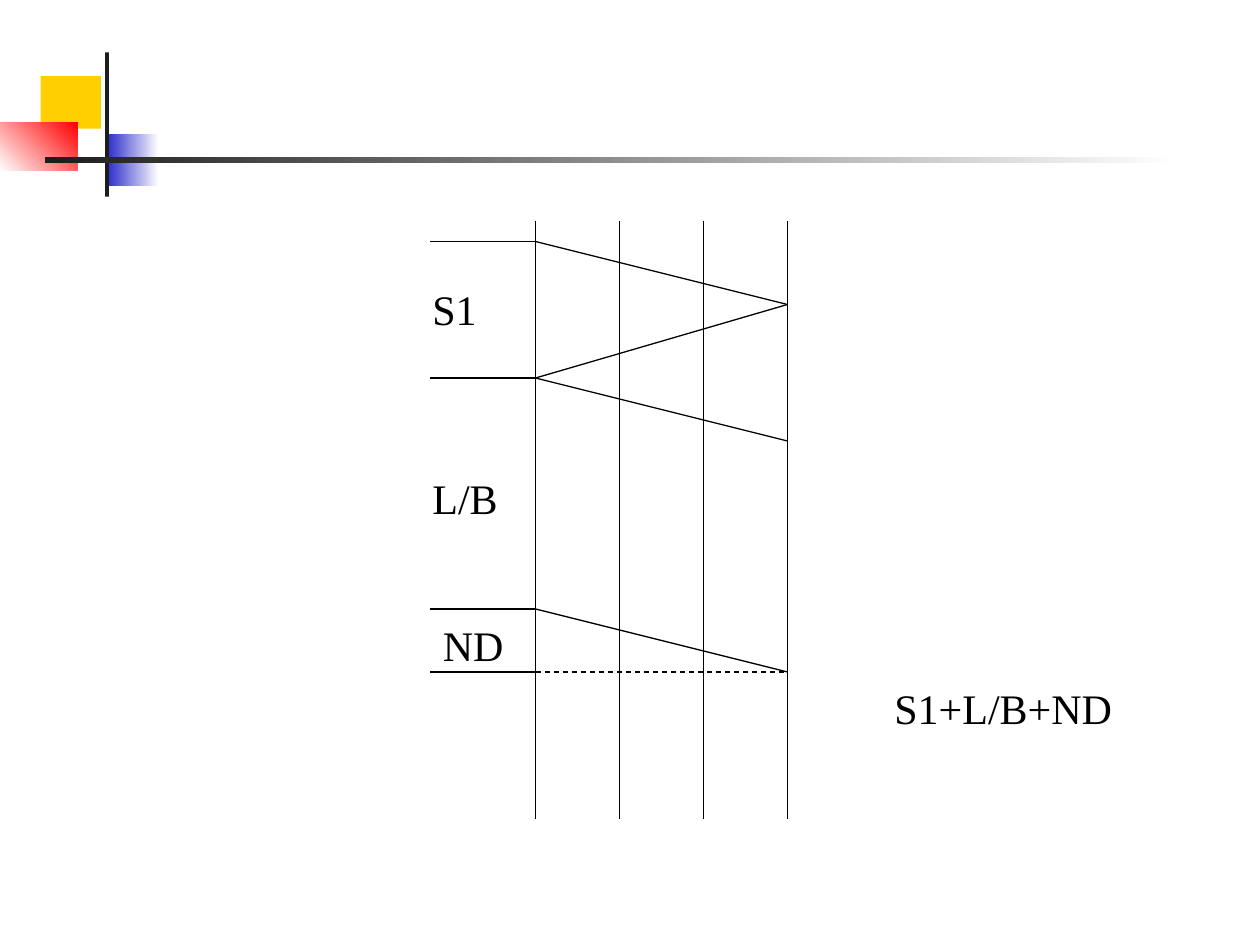
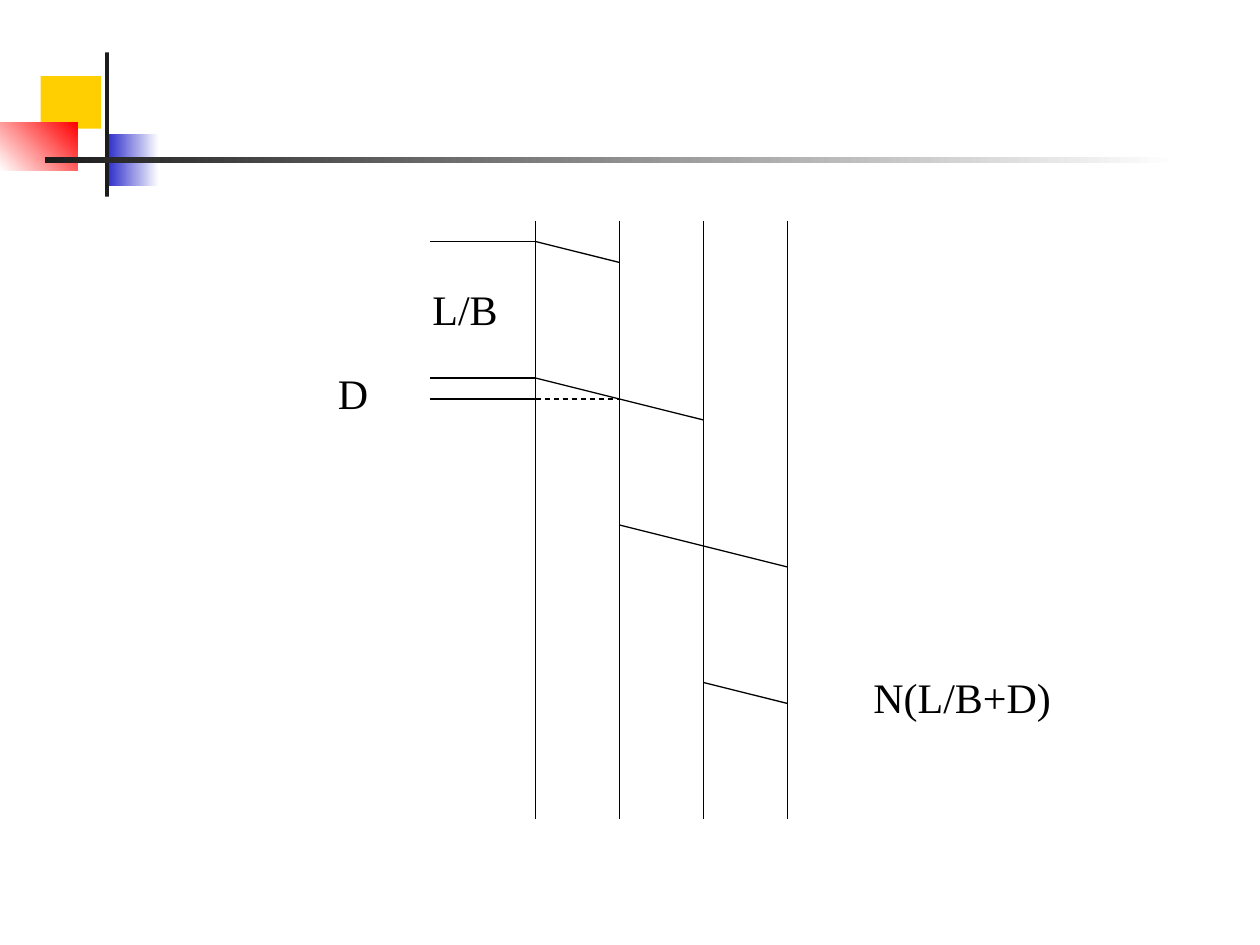
from lxml.etree import SubElement
from pptx import Presentation
from pptx.dml.color import RGBColor
from pptx.enum.dml import MSO_LINE
from pptx.enum.shapes import MSO_CONNECTOR as CONN, MSO_SHAPE as SHAPE
from pptx.oxml.ns import qn
from pptx.util import Pt

PX = 9525  # 96 px to the inch
BLACK = RGBColor(0x00, 0x00, 0x00)
WHITE = RGBColor(0xFF, 0xFF, 0xFF)
YELLOW = RGBColor(0xFF, 0xCF, 0x01)
BLUE = RGBColor(0x33, 0x33, 0xCC)
RED = RGBColor(0xFF, 0x00, 0x00)
INK = RGBColor(0x1C, 0x1C, 0x1C)
FONT = dict(name="Times New Roman", size=Pt(24))

# Shared decoration: box, colours (two make a gradient), gradient angle
DECOR = [
    ((31, 58, 46, 40), (YELLOW,), 0),
    ((83, 102, 38, 40), (BLUE, WHITE), 0),
    ((0, 93, 59, 37), (WHITE, RED), 45),
    ((80, 40, 3, 110), (INK,), 0),
    ((34, 120, 864, 4), (INK, WHITE), 0),
]

# Timing diagram: four stations, a signal drops by DELAY per hop
STATIONS = [408 + 64 * i for i in range(4)]
TOP, BOTTOM = 168, 624
TICK_LEFT = 328
DELAY = 16
LABEL_H = 48

# signals: first station, last station, start y
# replies and dashes: first station, start y, last station, end y
# labels: text, left, top, width
SLIDES = [
    dict(
        signals=[(0, 3, 184), (0, 3, 288), (0, 3, 464)],
        replies=[(3, 232, 0, 288)],
        ticks=[184, 288, 464, 512],
        dashes=[(0, 512, 3, 512)],
        labels=[("S1", 320, 208, 72), ("L/B", 320, 352, 72),
                ("ND", 328, 464, 72), ("S1+L/B+ND", 672, 512, 208)],
    ),
    dict(
        signals=[(0, 1, 184), (0, 2, 288), (1, 3, 400), (2, 3, 520)],
        replies=[],
        ticks=[184, 288, 304],
        dashes=[(0, 304, 1, 304)],
        labels=[("L/B", 320, 208, 72), ("D", 248, 272, 72),
                ("N(L/B+D)", 656, 504, 232)],
    ),
]


def emu(*lengths):
    return [n * PX for n in lengths]


def add_decor(s, layout):
    """Draw the decoration and move it to the layout shared by all slides."""
    for box, colours, angle in DECOR:
        sp = s.shapes.add_shape(SHAPE.RECTANGLE, *emu(*box))
        sp.shadow.inherit = False
        sp.line.fill.background()
        if len(colours) == 1:
            sp.fill.solid()
            sp.fill.fore_color.rgb = colours[0]
        else:
            sp.fill.gradient()
            sp.fill.gradient_angle = angle
            for stop, colour in zip(sp.fill.gradient_stops, colours):
                stop.color.rgb = colour
        layout.shapes._spTree.append(sp._element)


def add_line(s, x1, y1, x2, y2, dash=None):
    ln = s.shapes.add_connector(CONN.STRAIGHT, *emu(x1, y1, x2, y2))
    ln.line.color.rgb = BLACK
    ln.line.width = Pt(0.75)
    if dash:
        ln.line.dash_style = dash
    SubElement(ln._element.spPr, qn("a:effectLst"))


def add_label(s, text, x, y, w):
    tf = s.shapes.add_textbox(*emu(x, y, w, LABEL_H)).text_frame
    tf.word_wrap = True
    tf.margin_top = 8 * PX
    r = tf.paragraphs[0].add_run()
    r.text = text
    r.font.color.rgb = BLACK
    for key, value in FONT.items():
        setattr(r.font, key, value)


def add_diagram(s, signals, replies, ticks, dashes, labels):
    for x in STATIONS:
        add_line(s, x, TOP, x, BOTTOM)
    for a, b, y in signals:
        add_line(s, STATIONS[a], y, STATIONS[b], y + DELAY * (b - a))
    for y in ticks:
        add_line(s, STATIONS[0], y, TICK_LEFT, y)
    for group, dash in ((replies, None), (dashes, MSO_LINE.DASH)):
        for a, y1, b, y2 in group:
            add_line(s, STATIONS[a], y1, STATIONS[b], y2, dash)
    for label in labels:
        add_label(s, *label)


def main():
    prs = Presentation()
    prs.slide_width, prs.slide_height = emu(960, 720)
    blank = prs.slide_layouts[6]
    for i, content in enumerate(SLIDES):
        s = prs.slides.add_slide(blank)
        if i == 0:
            add_decor(s, blank)
        add_diagram(s, **content)
    prs.save("out.pptx")


if __name__ == "__main__":
    main()
